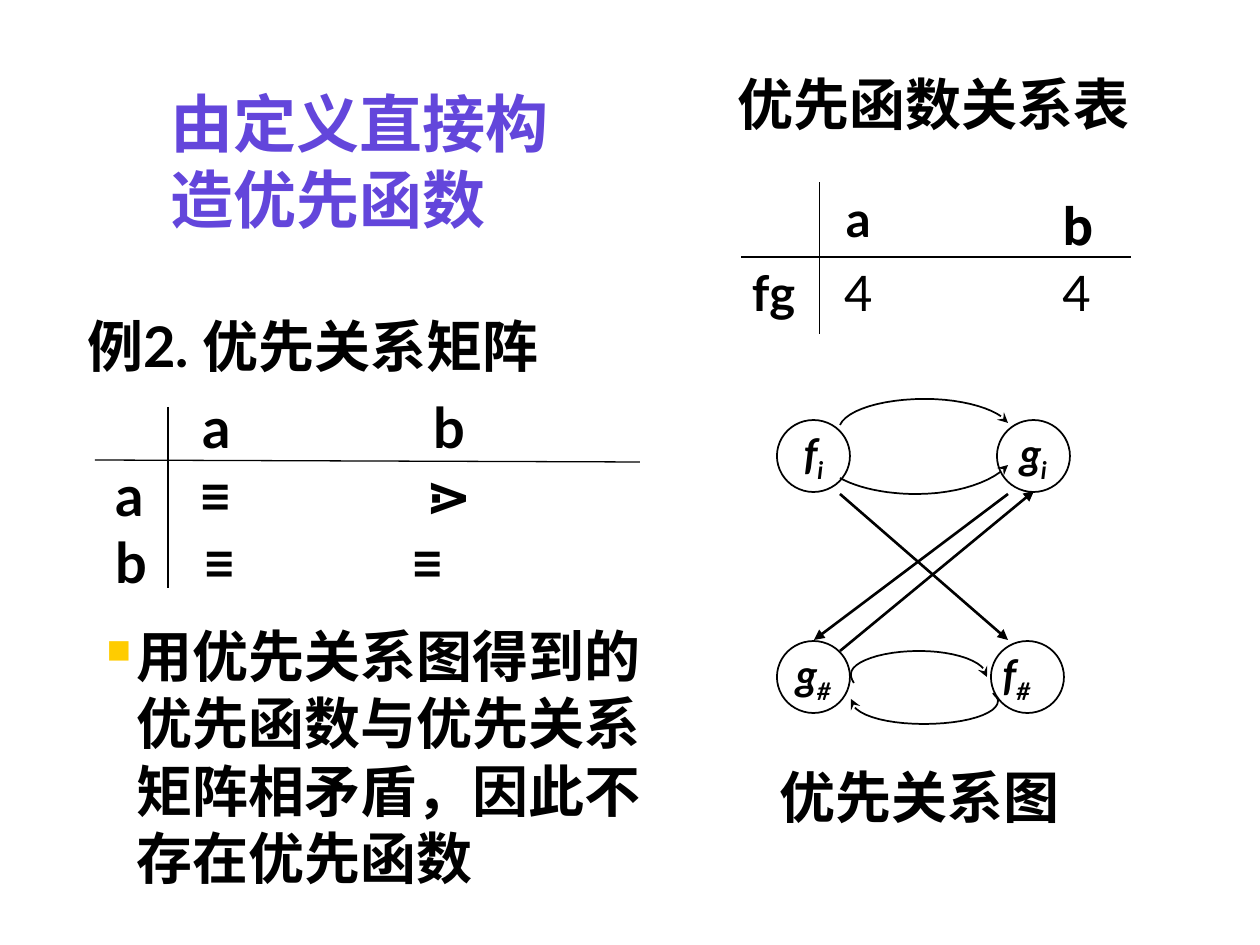
import pptx
import pptx.util
import pptx.dml.color
import pptx.enum.shapes
import pptx.enum.text
import pptx.oxml
import pptx.oxml.ns
from lxml import etree

ALIGN = pptx.enum.text.PP_ALIGN
ANCHOR = pptx.enum.text.MSO_ANCHOR
SHAPE = pptx.enum.shapes.MSO_SHAPE
CONNECTOR = pptx.enum.shapes.MSO_CONNECTOR
BLACK = "000000"
CURVE_STEPS = 12


def px(length):
    return pptx.util.Emu(round(length * 914400 / 126))


def color(value):
    return pptx.dml.color.RGBColor.from_string(value)


def child(parent, tag, **attributes):
    return etree.SubElement(parent, pptx.oxml.ns.qn(tag), attributes)


def style(para, size, fill=BLACK, bold=True, italic=False, font="Lato", asian="Lato"):
    para.font.size = pptx.util.Pt(size)
    para.font.bold = bold
    para.font.italic = italic
    para.font.name = font
    para.font.color.rgb = color(fill)
    child(para.font._rPr, "a:ea", typeface=asian)


def set_insets(frame, left, top, right, bottom):
    frame.margin_left, frame.margin_right = px(left), px(right)
    frame.margin_top, frame.margin_bottom = px(top), px(bottom)


def add_text(page, left, top, width, height, text, size=32, **font):
    box = page.shapes.add_textbox(px(left), px(top), px(width), px(height))
    box.text_frame.word_wrap = True
    para = box.text_frame.paragraphs[0]
    para.text = text
    style(para, size, **font)
    return box


def set_line(shape, width, arrow=None):
    shape.line.color.rgb = color(BLACK)
    shape.line.width = pptx.util.Pt(width)
    if arrow:
        child(shape.line._get_or_add_ln(), "a:tailEnd", type=arrow)


def add_line(page, start, end, width=0.75, arrow=None):
    line = page.shapes.add_connector(CONNECTOR.STRAIGHT, *map(px, (*start, *end)))
    set_line(line, width, arrow)
    child(line._element.spPr, "a:effectLst")


def bezier_points(points):
    for index in range(0, len(points) - 1, 3):
        a, b, c, d = points[index:index + 4]
        for step in range(1, CURVE_STEPS + 1):
            t = step / CURVE_STEPS
            s = 1 - t
            yield tuple(
                px(s ** 3 * p + 3 * s * s * t * q + 3 * s * t * t * r + t ** 3 * u)
                for p, q, r, u in zip(a, b, c, d)
            )


def add_curve(page, points):
    builder = page.shapes.build_freeform(px(points[0][0]), px(points[0][1]))
    builder.add_line_segments(bezier_points(points), close=False)
    curve = builder.convert_to_shape()
    curve.shadow.inherit = False
    curve.fill.background()
    set_line(curve, 1, "stealth")


def add_title(page, left, top, width, height):
    title = page.shapes.title
    title.left, title.top, title.width, title.height = map(px, (left, top, width, height))
    frame = title.text_frame
    frame.text = "由定义直接构造优先函数"
    frame.word_wrap = True
    frame.auto_size = pptx.enum.text.MSO_AUTO_SIZE.NONE
    frame.vertical_anchor = ANCHOR.BOTTOM
    frame.paragraphs[0].alignment = ALIGN.LEFT
    style(frame.paragraphs[0], 36, "6346DB")


def add_matrix(page, left, top):
    rows = [
        ("\ta\tb", (87, 318)),
        ("a\t≡\t⋗", (84, 310)),
        ("b\t≡\t≡", (88, 296)),
    ]
    box = page.shapes.add_textbox(px(left), px(top), px(430), px(214))
    frame = box.text_frame
    frame.word_wrap = True
    set_insets(frame, 23, 6, 13, 6)
    for index, (text, stops) in enumerate(rows):
        para = frame.add_paragraph() if index else frame.paragraphs[0]
        para.text = text
        tabs = child(para._p.get_or_add_pPr(), "a:tabLst")
        for stop in stops:
            child(tabs, "a:tab", pos=str(px(stop)), algn="l")
        style(para, 32)
    add_line(page, (left + 2, top + 73), (left + 547, top + 75))
    add_line(page, (left + 75, top + 20), (left + 75, top + 201))


def set_border(cell, side):
    line = child(cell._tc.get_or_add_tcPr(), "a:" + side, w=str(pptx.util.Pt(0.75)))
    child(child(line, "a:solidFill"), "a:srgbClr", val=BLACK)


def add_function_table(page, left, top, width, height):
    entries = {
        (0, 1): ("a", ALIGN.CENTER, {}),
        (0, 4): ("b", ALIGN.LEFT, {"font": "Noto Sans CJK SC"}),
        (1, 0): ("fg", ALIGN.LEFT, {}),
        (1, 1): ("4", ALIGN.CENTER, {"bold": False}),
        (1, 4): ("4", ALIGN.LEFT, {"bold": False}),
    }
    holder = page.shapes.add_table(2, 5, px(left), px(top), px(width), px(height))
    table = holder.table
    table.first_row = table.horz_banding = False
    table.rows[0].height, table.rows[1].height = px(74), px(height - 74)
    for row in range(2):
        for column in range(5):
            cell = table.cell(row, column)
            set_insets(cell, 10, 6, 10, 6)
            if column == 1:
                set_border(cell, "lnL")
            if column == 0:
                set_border(cell, "lnR")
            set_border(cell, "lnB" if row == 0 else "lnT")
            cell.fill.background()
            if (row, column) in entries:
                text, align, font = entries[row, column]
                para = cell.text_frame.paragraphs[0]
                para.text = text
                para.alignment = align
                style(para, 28, **font)


def add_node(page, left, top, letter, index, right_inset=0):
    node = page.shapes.add_shape(SHAPE.OVAL, px(left), px(top), px(73), px(72))
    node.shadow.inherit = False
    node.fill.background()
    set_line(node, 1)
    frame = node.text_frame
    frame.word_wrap = False
    frame.vertical_anchor = ANCHOR.MIDDLE
    set_insets(frame, 0, 0, right_inset, 0)
    para = frame.paragraphs[0]
    para.alignment = ALIGN.CENTER
    para.add_run().text = letter
    span = para.add_run()
    span.text = index
    span.font._element.set("baseline", "-25000")
    style(para, 24, italic=True)


def add_relation_graph(page, left, top):
    nodes = [(0, 21, "f", "i", 0), (220, 21, "g", "i", 0),
             (0, 242, "g", "#", 0), (214, 242, "f", "#", 22)]
    curves = [
        [(63, 26), (70, 11), (105, 0), (148, 0), (188, 0), (222, 11), (231, 24)],
        [(63, 79), (81, 89), (109, 95), (139, 95), (182, 95), (217, 82), (231, 66)],
        [(77, 284), (75, 281), (74, 278), (74, 275), (74, 263), (104, 252), (142, 252),
         (179, 252), (210, 263), (210, 278)],
        [(216, 294), (218, 297), (221, 299), (221, 302), (221, 315), (188, 325), (147, 325),
         (106, 325), (74, 315), (74, 300)],
    ]
    arrows = [((63, 95), (231, 241)), ((231, 95), (37, 241)), ((63, 252), (257, 92))]
    for x, y, letter, index, inset in nodes:
        add_node(page, left + x, top + y, letter, index, inset)
    for points in curves:
        add_curve(page, [(left + x, top + y) for x, y in points])
    for start, end in arrows:
        add_line(page, (left + start[0], top + start[1]), (left + end[0], top + end[1]),
                 1.5, "triangle")


def add_conclusion(page, left, top, width, height):
    box = page.shapes.add_textbox(px(left), px(top), px(width), px(height))
    frame = box.text_frame
    frame.word_wrap = True
    frame.vertical_anchor = ANCHOR.MIDDLE
    para = frame.paragraphs[0]
    para.text = "用优先关系图得到的优先函数与优先关系矩阵相矛盾，因此不存在优先函数"
    props = para._p.get_or_add_pPr()
    props.set("marL", str(px(30)))
    props.set("indent", str(-px(30)))
    child(child(props, "a:buClr"), "a:srgbClr", val="FFCC00")
    child(props, "a:buSzPct", val="60000")
    child(props, "a:buChar", char="■")
    style(para, 32, font="Times New Roman")


def main():
    deck = pptx.Presentation()
    deck.slide_width, deck.slide_height = px(1260), px(945)
    page = deck.slides.add_slide(deck.slide_layouts[5])
    add_title(page, 158, 84, 450, 158)
    add_text(page, 75, 305, 530, 80, "例2. 优先关系矩阵")
    add_matrix(page, 93, 387)
    add_conclusion(page, 94, 588, 599, 336)
    add_text(page, 725, 63, 440, 80, "优先函数关系表")
    add_function_table(page, 742, 183, 388, 152)
    add_relation_graph(page, 777, 399)
    add_text(page, 767, 756, 330, 80, "优先关系图")
    deck.save("out.pptx")


if __name__ == "__main__":
    main()
